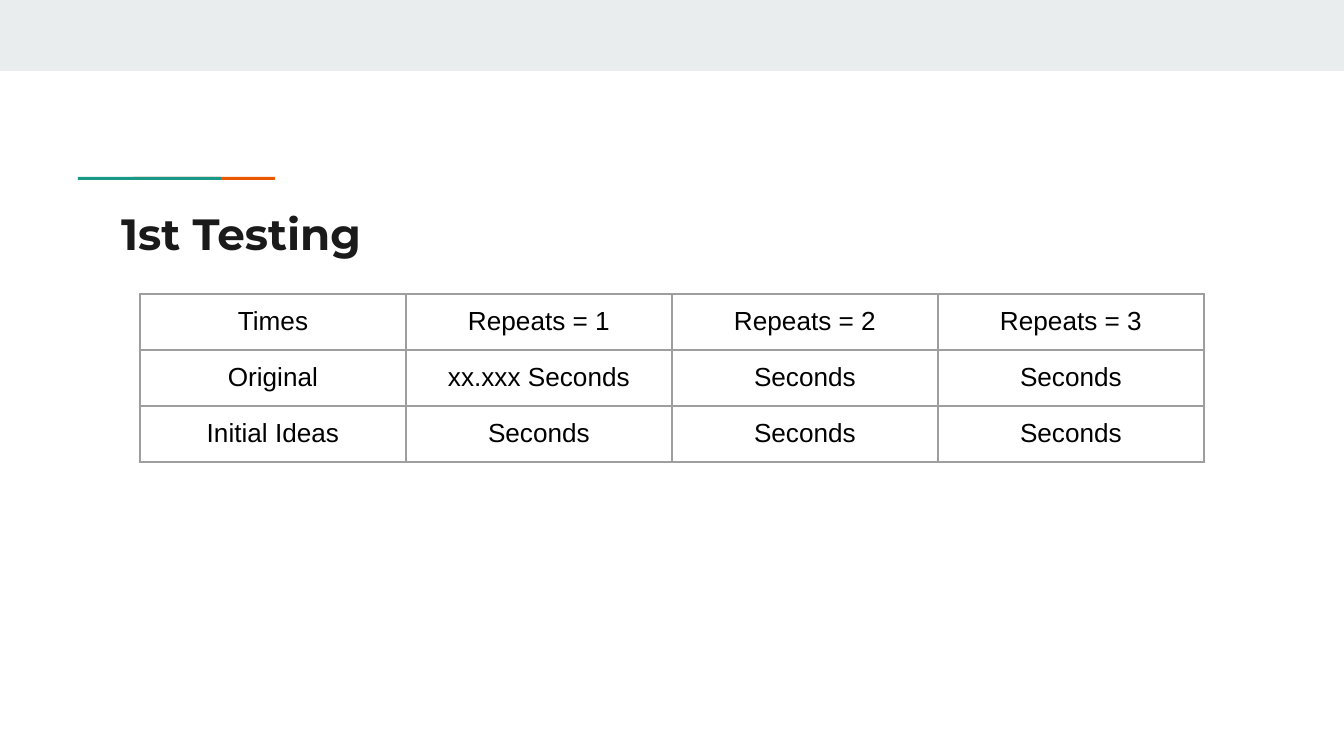
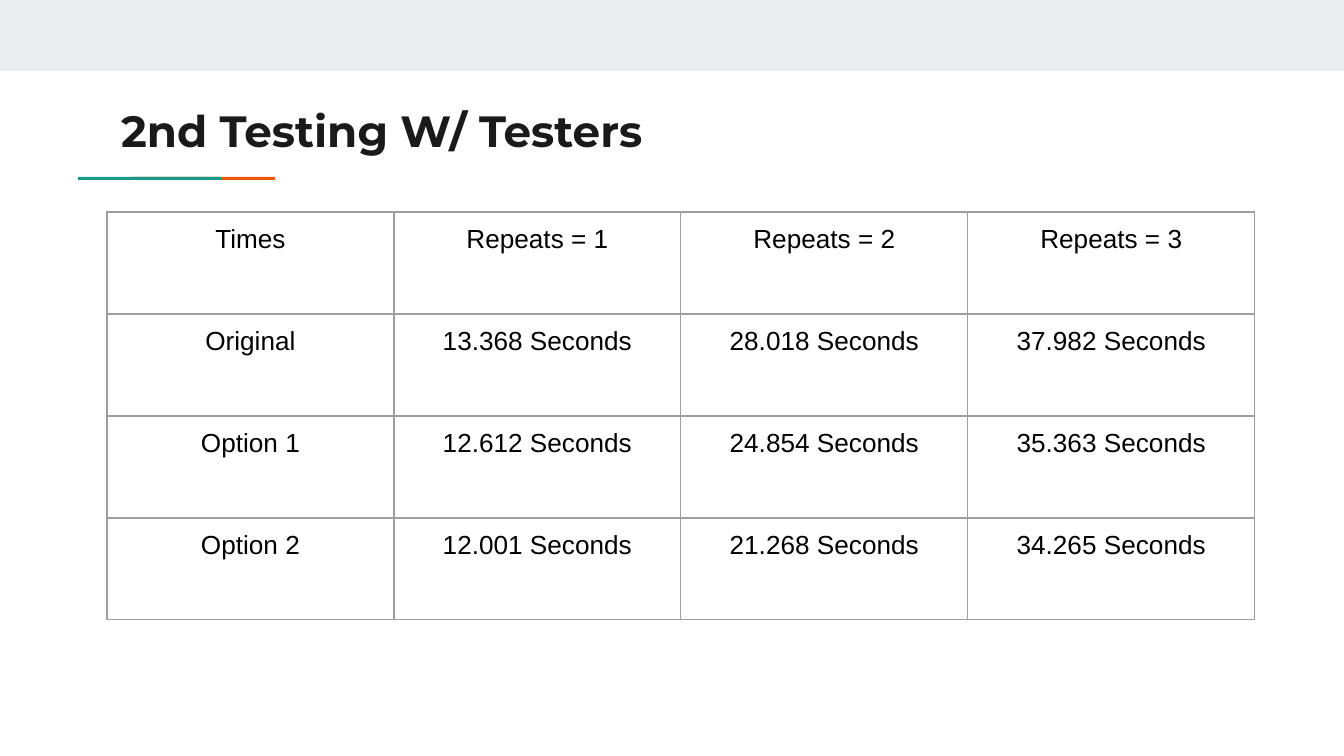
from dataclasses import dataclass

from lxml.etree import SubElement
from pptx import Presentation
from pptx.dml.color import RGBColor
from pptx.enum.shapes import MSO_SHAPE
from pptx.enum.text import MSO_ANCHOR, MSO_AUTO_SIZE, PP_ALIGN
from pptx.oxml.ns import qn
from pptx.presentation import Presentation as Deck
from pptx.slide import Slide
from pptx.table import _Cell as Cell
from pptx.util import Emu, Pt

# Shared measures and styles
EMU_PER_PIXEL = 914400 / 134.4
SLIDE_WIDTH, SLIDE_HEIGHT = 1344, 756
TITLE_ONLY_LAYOUT = 5
TITLE_FONT, TABLE_FONT = "Montserrat", "Arial"
TITLE_COLOR, TABLE_TEXT_COLOR, BORDER_COLOR = "1A1A1A", "000000", "9E9E9E"
INSET = 13
HEADER = ["Times", "Repeats = 1", "Repeats = 2", "Repeats = 3"]


@dataclass
class Bar:
    left: int
    top: int
    width: int
    height: int
    color: str


@dataclass
class TestingSlide:
    title: str
    title_top: int
    table_left: int
    table_top: int
    column_width: int
    row_height: int
    rows: list[list[str]]


# Top band, then the two-colour accent line
BARS = [
    Bar(0, 0, SLIDE_WIDTH, 71, "E9EDEE"),
    Bar(133, 177, 142, 3, "EB5600"),
    Bar(78, 177, 143, 3, "1A9988"),
]

TESTING_SLIDES = [
    TestingSlide("1st Testing", 194, 140, 294, 266, 56, [
        HEADER,
        ["Original", "xx.xxx Seconds", "Seconds", "Seconds"],
        ["Initial Ideas", "Seconds", "Seconds", "Seconds"],
    ]),
    TestingSlide("2nd Testing W/ Testers", 91, 107, 212, 287, 102, [
        HEADER,
        ["Original", "13.368 Seconds", "28.018 Seconds", "37.982 Seconds"],
        ["Option 1", "12.612 Seconds", "24.854 Seconds", "35.363 Seconds"],
        ["Option 2", "12.001 Seconds", "21.268 Seconds", "34.265 Seconds"],
    ]),
]


def px(pixels: int) -> Emu:
    return Emu(round(pixels * EMU_PER_PIXEL))


def rgb(color: str) -> RGBColor:
    return RGBColor.from_string(color)


def style_text(text_frame, font_name: str, size: float, color: str,
               bold: bool, alignment: PP_ALIGN) -> None:
    for paragraph in text_frame.paragraphs:
        paragraph.alignment = alignment
        for run in paragraph.runs:
            run.font.name = font_name
            run.font.size = Pt(size)
            run.font.bold = bold
            run.font.color.rgb = rgb(color)


def set_insets(target) -> None:
    target.margin_left = target.margin_right = px(INSET)
    target.margin_top = target.margin_bottom = px(INSET)


def add_bar(slide: Slide, bar: Bar) -> None:
    shape = slide.shapes.add_shape(
        MSO_SHAPE.RECTANGLE, px(bar.left), px(bar.top), px(bar.width), px(bar.height))
    shape.shadow.inherit = False
    shape.fill.solid()
    shape.fill.fore_color.rgb = rgb(bar.color)
    shape.line.fill.background()


def set_title(slide: Slide, text: str, top: int) -> None:
    title = slide.shapes.title
    title.left, title.top, title.width, title.height = px(108), px(top), px(1130), px(79)
    text_frame = title.text_frame
    text_frame.text = text
    text_frame.word_wrap = True
    text_frame.auto_size = MSO_AUTO_SIZE.NONE
    text_frame.vertical_anchor = MSO_ANCHOR.TOP
    set_insets(text_frame)
    style_text(text_frame, TITLE_FONT, 23.4, TITLE_COLOR, True, PP_ALIGN.LEFT)


def set_borders(cell: Cell) -> None:
    properties = cell._tc.get_or_add_tcPr()
    for index, side in enumerate(("a:lnL", "a:lnR", "a:lnT", "a:lnB")):
        line = SubElement(properties, qn(side), w=str(Pt(0.75)))
        fill = SubElement(line, qn("a:solidFill"))
        SubElement(fill, qn("a:srgbClr"), val=BORDER_COLOR)
        # Borders come before the cell fill
        properties.insert(index, line)


def add_times_table(slide: Slide, content: TestingSlide) -> None:
    row_count, column_count = len(content.rows), len(HEADER)
    table = slide.shapes.add_table(
        row_count, column_count, px(content.table_left), px(content.table_top),
        px(content.column_width * column_count),
        px(content.row_height * row_count)).table
    table.first_row = table.horz_banding = False
    for column in table.columns:
        column.width = px(content.column_width)
    for row, texts in zip(table.rows, content.rows):
        row.height = px(content.row_height)
        for cell, text in zip(row.cells, texts):
            cell.text_frame.text = text
            cell.vertical_anchor = MSO_ANCHOR.TOP
            set_insets(cell)
            style_text(cell.text_frame, TABLE_FONT, 14, TABLE_TEXT_COLOR,
                       False, PP_ALIGN.CENTER)
            cell.fill.background()
            set_borders(cell)


def add_testing_slide(presentation: Deck, content: TestingSlide) -> None:
    slide = presentation.slides.add_slide(presentation.slide_layouts[TITLE_ONLY_LAYOUT])
    slide.background.fill.solid()
    slide.background.fill.fore_color.rgb = rgb("FFFFFF")
    for bar in BARS:
        add_bar(slide, bar)
    set_title(slide, content.title, content.title_top)
    add_times_table(slide, content)


presentation = Presentation()
presentation.slide_width = px(SLIDE_WIDTH)
presentation.slide_height = px(SLIDE_HEIGHT)
for testing_slide in TESTING_SLIDES:
    add_testing_slide(presentation, testing_slide)
presentation.save("out.pptx")
